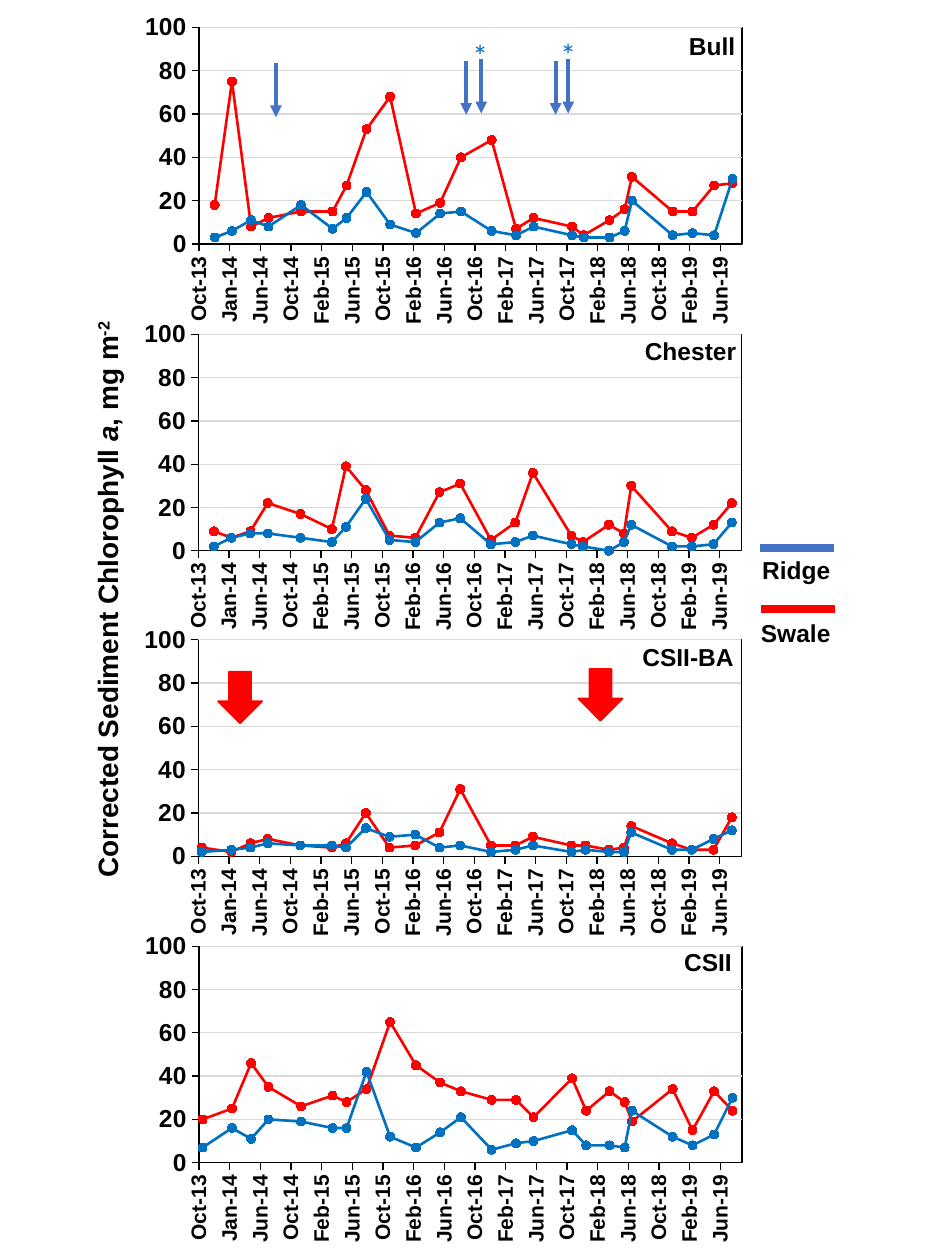
"""Build a slide of ridge and swale sediment chlorophyll at four sites."""
import pptx
import pptx.chart.data
import pptx.dml.color
import pptx.enum.chart
import pptx.enum.shapes
import pptx.oxml
import pptx.util
from pptx.oxml.ns import qn

Pt = pptx.util.Pt
RIDGE, SWALE, ARROW, BLACK, GRID = "0070C0", "FF0000", "4472C4", "000000", "D9D9D9"
FIRST_DAY, LAST_DAY, DAY_STEP = 41548, 43708, 122
SURVEY_DAYS = [62, 131, 207, 276, 406, 531, 587, 666, 760, 863, 959, 1042,
               1164, 1261, 1331, 1484, 1530, 1633, 1693, 1722, 1884, 1963, 2049, 2122]
EARLY_SURVEY_DAYS = [14] + SURVEY_DAYS[1:16] + [1540] + SURVEY_DAYS[17:]
SITES = [
    ("Bull", (74.9, 6.5), (386.6, 14.4, 41), SURVEY_DAYS,
     [3, 6, 11, 8, 18, 7, 12, 24, 9, 5, 14, 15, 6, 4, 8, 4, 3, 3, 6, 20, 4, 5, 4, 30],
     [18, 75, 8, 12, 15, 15, 27, 53, 68, 14, 19, 40, 48, 7, 12, 8, 4, 11, 16, 31, 15, 15, 27, 28]),
    ("Chester", (74.5, 181.8), (361.4, 188.6, 67), SURVEY_DAYS,
     [2, 6, 8, 8, 6, 4, 11, 24, 5, 4, 13, 15, 3, 4, 7, 3, 2, 0, 4, 12, 2, 2, 3, 13],
     [9, 6, 9, 22, 17, 10, 39, 28, 7, 6, 27, 31, 5, 13, 36, 7, 4, 12, 8, 30, 9, 6, 12, 22]),
    ("CSII-BA", (74.5, 356.4), (360, 363.6, 67), EARLY_SURVEY_DAYS,
     [2, 3, 4, 6, 5, 5, 4, 13, 9, 10, 4, 5, 2, 3, 5, 2, 3, 2, 2, 11, 3, 3, 8, 12],
     [4, 2, 6, 8, 5, 4, 6, 20, 4, 5, 11, 31, 5, 5, 9, 5, 5, 3, 4, 14, 6, 3, 3, 18]),
    ("CSII", (74.9, 531.5), (383.8, 537.8, 41.8), EARLY_SURVEY_DAYS,
     [7, 16, 11, 20, 19, 16, 16, 42, 12, 7, 14, 21, 6, 9, 10, 15, 8, 8, 7, 24, 12, 8, 13, 30],
     [20, 25, 46, 35, 26, 31, 28, 34, 65, 45, 37, 33, 29, 29, 21, 39, 24, 33, 28, 19, 34, 15, 33, 24]),
]


def rgb(color):
    """Turn a hex string into a colour."""
    return pptx.dml.color.RGBColor.from_string(color)


def set_line(line, color, width):
    """Give a line its colour and width."""
    line.color.rgb = rgb(color)
    line.width = Pt(width)


def set_font(font, size, color=BLACK, bold=True, name="Arial"):
    """Give a font its look."""
    font.size, font.bold, font.name = Pt(size), bold, name
    font.color.rgb = rgb(color)


def add_text(slide, box, runs, size, rotation=0, **look):
    """Add one line of text, run by run, with optional italic and raised runs."""
    label = slide.shapes.add_textbox(*map(Pt, box))
    label.rotation = rotation
    label.text_frame.word_wrap = False
    paragraph = label.text_frame.paragraphs[0]
    for text, style in runs:
        run = paragraph.add_run()
        run.text = text
        set_font(run.font, size, **look)
        if style == "italic":
            run.font.italic = True
        elif style == "raised":
            run.font._element.set("baseline", "30000")


def add_line(slide, start, end, width, color, arrow=False):
    """Add a straight line, with an arrowhead at its end if asked."""
    line = slide.shapes.add_connector(
        pptx.enum.shapes.MSO_CONNECTOR.STRAIGHT, *map(Pt, start + end))
    set_line(line.line, color, width)
    if arrow:
        head = pptx.oxml.parse_xml(
            '<a:tailEnd xmlns:a="http://schemas.openxmlformats.org/drawingml/2006/main" type="triangle"/>')
        line.line._ln.append(head)
    properties = line._element.spPr
    properties.append(properties.makeelement(qn("a:effectLst"), {}))


def add_block_arrow(slide, left, top):
    """Add a solid red arrow pointing down."""
    arrow = slide.shapes.add_shape(
        pptx.enum.shapes.MSO_SHAPE.DOWN_ARROW, Pt(left), Pt(top), Pt(25.2), Pt(29.5))
    arrow.shadow.inherit = False
    arrow.fill.solid()
    arrow.fill.fore_color.rgb = rgb(SWALE)
    set_line(arrow.line, SWALE, 1)


def style_axis(axis, low, high, step, size, number_format):
    """Set the scale, ticks, line and labels of an axis."""
    axis.minimum_scale, axis.maximum_scale, axis.major_unit = low, high, step
    axis.major_tick_mark = pptx.enum.chart.XL_TICK_MARK.OUTSIDE
    axis.minor_tick_mark = pptx.enum.chart.XL_TICK_MARK.NONE
    axis.crosses = pptx.enum.chart.XL_AXIS_CROSSES.MINIMUM
    axis.has_title = False
    set_line(axis.format.line, BLACK, 0.75)
    axis.tick_labels.number_format = number_format
    axis.tick_labels.number_format_is_linked = False
    set_font(axis.tick_labels.font, size)


def frame_plot(chart):
    """Place the inner plot area and draw its border."""
    plot_area = chart._chartSpace.chart.plotArea
    for layout in plot_area.findall(qn("c:layout")):
        plot_area.remove(layout)
    names = ' xmlns:c="http://schemas.openxmlformats.org/drawingml/2006/chart"' \
            ' xmlns:a="http://schemas.openxmlformats.org/drawingml/2006/main"'
    plot_area.insert(0, pptx.oxml.parse_xml(
        f'<c:layout{names}><c:manualLayout><c:layoutTarget val="inner"/>'
        '<c:xMode val="edge"/><c:yMode val="edge"/><c:x val="0.108"/><c:y val="0.051"/>'
        '<c:w val="0.862"/><c:h val="0.685"/></c:manualLayout></c:layout>'))
    plot_area.append(pptx.oxml.parse_xml(
        f'<c:spPr{names}><a:noFill/><a:ln w="9525"><a:solidFill><a:srgbClr val="{BLACK}"/>'
        '</a:solidFill></a:ln></c:spPr>'))


def add_site_chart(slide, corner, days, ridge, swale):
    """Add the chart of ridge and swale chlorophyll over time at one site."""
    data = pptx.chart.data.XyChartData()
    for name, levels in (("Ridge", ridge), ("Swale", swale)):
        habitat = data.add_series(name)
        for day, level in zip(days, levels):
            habitat.add_data_point(FIRST_DAY + day, level)
    chart = slide.shapes.add_chart(
        pptx.enum.chart.XL_CHART_TYPE.XY_SCATTER_LINES,
        *map(Pt, corner + (360, 180.7)), data).chart
    chart.has_legend = chart.has_title = False
    set_font(chart.font, 10, bold=False, name="Calibri")
    style_axis(chart.category_axis, FIRST_DAY, LAST_DAY, DAY_STEP, 12, "mmm-yy")
    style_axis(chart.value_axis, 0, 100, 20, 14, "0")
    chart.category_axis.has_major_gridlines = False
    chart.category_axis._element.txPr.bodyPr.set("rot", "-5400000")
    chart.category_axis._element.txPr.bodyPr.set("vert", "horz")
    chart.value_axis.has_major_gridlines = True
    set_line(chart.value_axis.major_gridlines.format.line, GRID, 0.75)
    chart.plots[0].vary_by_categories = False
    for habitat, color in zip(chart.plots[0].series, (RIDGE, SWALE)):
        habitat.smooth = False
        set_line(habitat.format.line, color, 1.5)
        habitat.marker.style = pptx.enum.chart.XL_MARKER_STYLE.CIRCLE
        habitat.marker.size = 5
        habitat.marker.format.fill.solid()
        habitat.marker.format.fill.fore_color.rgb = rgb(color)
        set_line(habitat.marker.format.line, color, 0.75)
    frame_plot(chart)


def main():
    """Build the slide and save it."""
    deck = pptx.Presentation()
    deck.slide_width, deck.slide_height = Pt(540), Pt(720)
    slide = deck.slides.add_slide(deck.slide_layouts[6])
    for site, corner, label, days, ridge, swale in SITES:
        add_site_chart(slide, corner, days, ridge, swale)
    for site, corner, (left, top, width), *levels in SITES:
        add_text(slide, (left, top, width, 24.5), [(site, None)], 14)
    add_text(slide, (-112.3, 321.8, 347, 26.6),
             [("Corrected Sediment Chlorophyll ", None), ("a", "italic"),
              (", mg m", None), ("-2", "raised")], 16, rotation=270)
    for habitat, color, left, line_top, label_left, label_top in (
            ("Ridge", ARROW, 434.2, 313.2, 428.4, 313.9),
            ("Swale", SWALE, 434.9, 347.8, 427.7, 349.9)):
        add_line(slide, (left, line_top), (left + 42.5, line_top), 4.5, color)
        add_text(slide, (label_left, label_top, 54.4, 24.5), [(habitat, None)], 14)
    for left, top in ((157.7, 36), (275, 33.8), (266.4, 34.6), (317.5, 34.6), (324.7, 33.8)):
        add_line(slide, (left, top), (left, top + 31), 2.25, ARROW, arrow=True)
    for left, top in ((313.2, 16.6), (262.8, 17.3)):
        add_text(slide, (left, top, 23.8, 28.8), [("*", None)], 18,
                 color=RIDGE, bold=False, name="Calibri")
    for left, top in ((124.6, 383.8), (330.5, 382.3)):
        add_block_arrow(slide, left, top)
    deck.save("out.pptx")


main()
